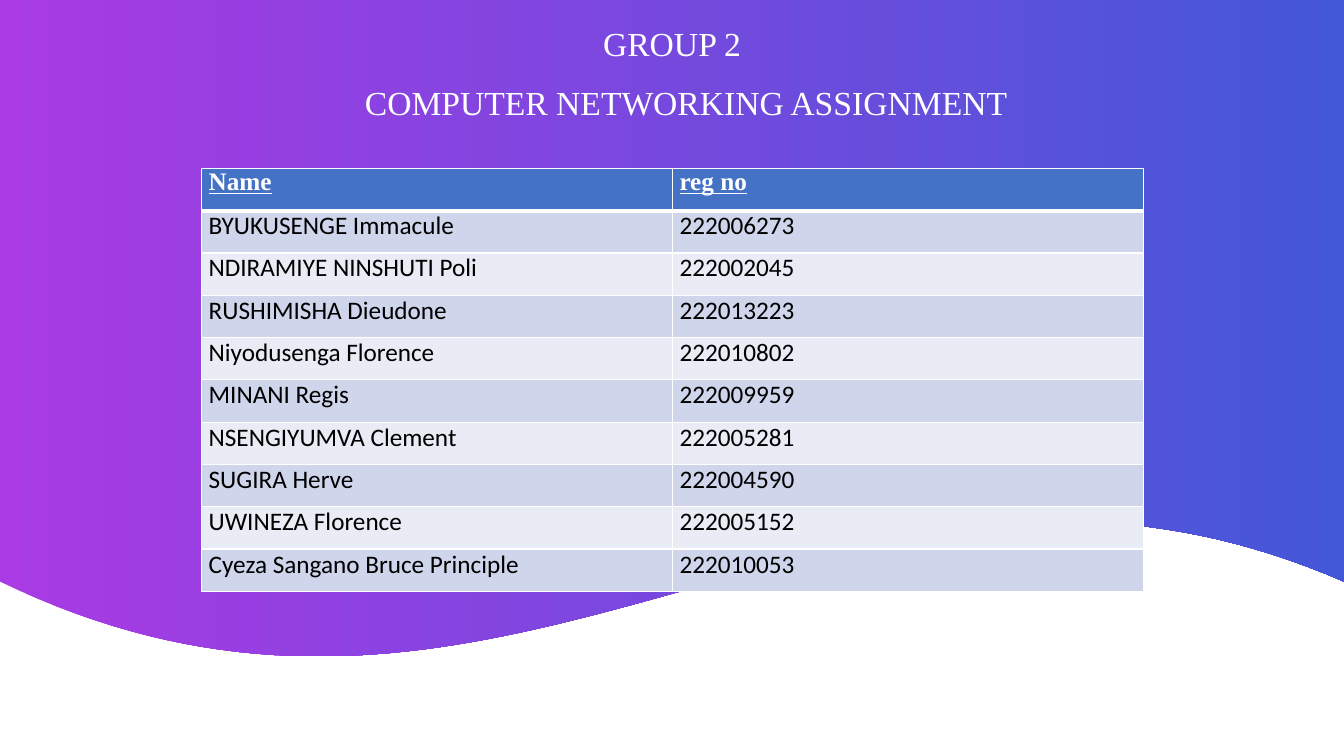
from lxml.etree import SubElement
from pptx import Presentation
from pptx.dml.color import RGBColor
from pptx.enum.text import MSO_ANCHOR, MSO_AUTO_SIZE, PP_ALIGN
from pptx.oxml.ns import qn
from pptx.util import Inches, Pt

HEADING = "GROUP 2"
SUBHEADING = "COMPUTER NETWORKING ASSIGNMENT"
HEADER = ("Name", "reg no")
STUDENTS = [
    ("BYUKUSENGE Immacule", "222006273"),
    ("NDIRAMIYE NINSHUTI Poli", "222002045"),
    ("RUSHIMISHA Dieudone", "222013223"),
    ("Niyodusenga Florence", "222010802"),
    ("MINANI Regis", "222009959"),
    ("NSENGIYUMVA Clement", "222005281"),
    ("SUGIRA Herve", "222004590"),
    ("UWINEZA Florence", "222005152"),
    ("Cyeza Sangano Bruce Principle", "222010053"),
]

WHITE, BLACK = "FFFFFF", "000000"
PURPLE, BLUE = "A93AE4", "4358D7"
HEADER_FILL, BANDS = "4472C4", ("E9EBF5", "CFD5EA")
SERIF, SANS = "Times New Roman", "Calibri"

SLIDE_W, SLIDE_H = 13.33, 7.5
WAVE = [(SLIDE_W, 5.77), (8.35, 3.6), (5.1, 8.23), (0, 5.77)]
WAVE_STEPS = 80
TABLE_LEFT, TABLE_TOP, COLUMN_W, ROW_H = 2, 1.67, 4.67, 0.42


def color(value):
    return RGBColor.from_string(value)


def write(frame, text, font=SERIF, size=24, fill=WHITE, bold=False,
          underline=False, align=PP_ALIGN.CENTER):
    paragraph = frame.paragraphs[0]
    paragraph.alignment = align
    run = paragraph.add_run()
    run.text = text
    run.font.name = font
    run.font.size = Pt(size)
    run.font.bold = bold
    run.font.underline = underline
    run.font.color.rgb = color(fill)


def place_heading(box, text, left, top):
    box.left, box.top = Inches(left), Inches(top)
    box.width, box.height = Inches(6.27), Inches(0.58)
    frame = box.text_frame
    frame.word_wrap = False
    frame.auto_size = MSO_AUTO_SIZE.NONE
    frame.vertical_anchor = MSO_ANCHOR.TOP
    frame.margin_top = Inches(0.08)
    write(frame, text)


def wave_point(t):
    """Point on the cubic curve that ends the coloured area, from right to left."""
    weights = ((1 - t) ** 3, 3 * t * (1 - t) ** 2, 3 * t ** 2 * (1 - t), t ** 3)
    return tuple(Inches(sum(w * point[axis] for w, point in zip(weights, WAVE)))
                 for axis in (0, 1))


def add_wave(slide):
    builder = slide.shapes.build_freeform(0, 0)
    curve = [wave_point(step / WAVE_STEPS) for step in range(WAVE_STEPS + 1)]
    builder.add_line_segments([(Inches(SLIDE_W), 0)] + curve, close=True)
    wave = builder.convert_to_shape()
    wave.shadow.inherit = False
    wave.line.fill.background()
    wave.fill.gradient()
    wave.fill.gradient_angle = 0
    for stop, position, value in zip(wave.fill.gradient_stops, (0, 1), (PURPLE, BLUE)):
        stop.position = position
        stop.color.rgb = color(value)
    return wave


def add_borders(cell, top, bottom):
    properties = cell._tc.get_or_add_tcPr()
    for side, width in (("L", 1), ("R", 1), ("T", top), ("B", bottom)):
        line = SubElement(properties, qn(f"a:ln{side}"), w=str(Pt(width)))
        SubElement(SubElement(line, qn("a:solidFill")), qn("a:srgbClr"), val=WHITE)


def add_student_table(slide):
    rows = [HEADER] + STUDENTS
    table = slide.shapes.add_table(
        len(rows), len(HEADER), Inches(TABLE_LEFT), Inches(TABLE_TOP),
        Inches(COLUMN_W * len(HEADER)), Inches(ROW_H * len(rows))).table
    for column in table.columns:
        column.width = Inches(COLUMN_W)
    for r, values in enumerate(rows):
        table.rows[r].height = Inches(ROW_H)
        is_header = r == 0
        for c, value in enumerate(values):
            cell = table.cell(r, c)
            cell.margin_left = cell.margin_right = Inches(0.07)
            cell.margin_top = cell.margin_bottom = 0
            add_borders(cell, top=3 if r == 1 else 1, bottom=3 if is_header else 1)
            cell.fill.solid()
            cell.fill.fore_color.rgb = color(HEADER_FILL if is_header else BANDS[r % 2])
            write(cell.text_frame, value, size=18, align=PP_ALIGN.JUSTIFY,
                  font=SERIF if is_header else SANS,
                  fill=WHITE if is_header else BLACK,
                  bold=is_header, underline=is_header)


def main():
    deck = Presentation()
    deck.slide_width, deck.slide_height = Inches(SLIDE_W), Inches(SLIDE_H)
    slide = deck.slides.add_slide(deck.slide_layouts[5])
    slide.background.fill.solid()
    slide.background.fill.fore_color.rgb = color(WHITE)

    title = slide.shapes.title
    title.element.addprevious(add_wave(slide).element)
    place_heading(title, HEADING, 3.53, 0.15)
    add_student_table(slide)
    place_heading(slide.shapes.add_textbox(0, 0, 0, 0), SUBHEADING, 3.67, 0.73)
    deck.save("out.pptx")


if __name__ == "__main__":
    main()
